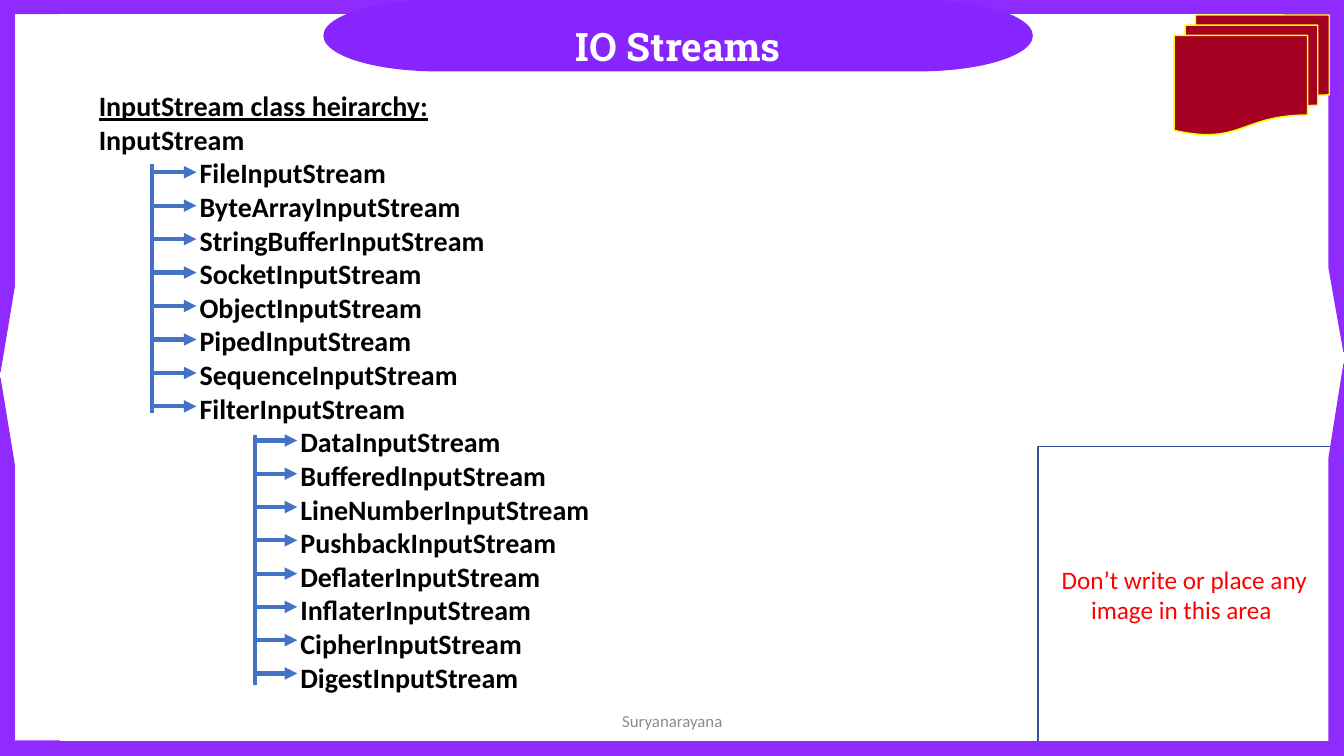
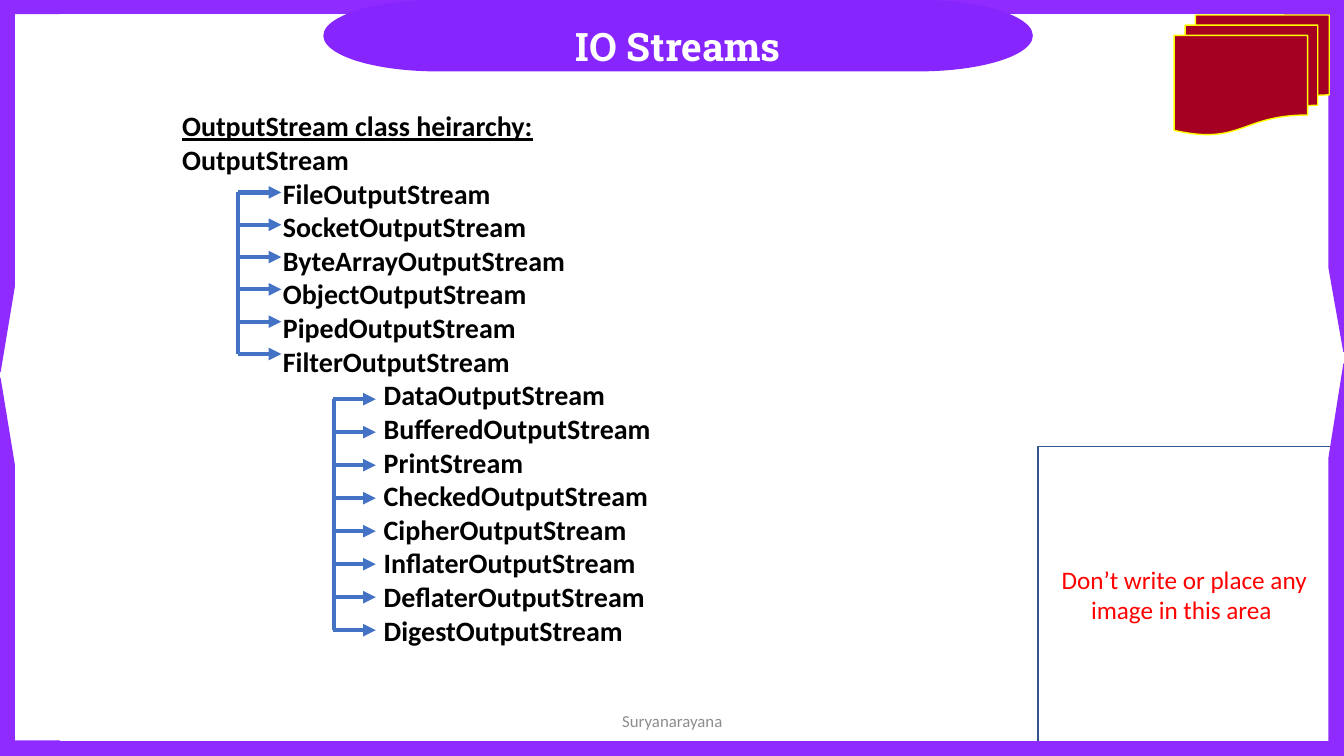
from dataclasses import dataclass

from lxml import etree
from pptx import Presentation
from pptx import util as u
from pptx.dml.color import RGBColor
from pptx.enum import shapes, text
from pptx.oxml import ns

COLORS = {
    "frame": "902BFF",
    "title_band": "8725FE",
    "title": "FFFFFF",
    "documents": "A50021",
    "documents_edge": "FFFF00",
    "notice_fill": "FFFFFF",
    "notice_edge": "325491",
    "notice": "FF0000",
    "body": "000000",
    "branch": "4472C4",
    "footer": "8C8C8C",
}
BODY_FONT = "Calibri"
TITLE_FONT = "Roboto Slab"
WIDTH, HEIGHT = 33.87, 19.05
BAND = 0.36
CORNER = 1.57
INDENT = 2.54
ARROW = 1.09
SHAPE = shapes.MSO_SHAPE


@dataclass
class Branch:
    names: list
    trunk_x: float
    trunk_top: float
    trunk_bottom: float
    arrow_x: float
    first_arrow: float
    last_arrow: float


@dataclass
class Hierarchy:
    root: str
    box: tuple
    children: Branch
    filters: Branch


INPUT = Hierarchy(
    "InputStream",
    (2.24, 2.11, 23.5, 15.65),
    Branch(
        ["FileInputStream", "ByteArrayInputStream", "StringBufferInputStream",
         "SocketInputStream", "ObjectInputStream", "PipedInputStream",
         "SequenceInputStream", "FilterInputStream"],
        3.84, 4.14, 10.41, 3.86, 4.34, 10.24,
    ),
    Branch(
        ["DataInputStream", "BufferedInputStream", "LineNumberInputStream",
         "PushbackInputStream", "DeflaterInputStream", "InflaterInputStream",
         "CipherInputStream", "DigestInputStream"],
        6.43, 10.95, 17.25, 6.4, 11.1, 16.97,
    ),
)
OUTPUT = Hierarchy(
    "OutputStream",
    (4.34, 2.62, 20.9, 13.94),
    Branch(
        ["FileOutputStream", "SocketOutputStream", "ByteArrayOutputStream",
         "ObjectOutputStream", "PipedOutputStream", "FilterOutputStream"],
        6.0, 4.85, 8.92, 6.0, 4.85, 8.92,
    ),
    Branch(
        ["DataOutputStream", "BufferedOutputStream", "PrintStream",
         "CheckedOutputStream", "CipherOutputStream", "InflaterOutputStream",
         "DeflaterOutputStream", "DigestOutputStream"],
        8.42, 10.06, 15.88, 8.38, 10.06, 15.88,
    ),
)


def color(name):
    return RGBColor.from_string(COLORS[name])


def lengths(values):
    return [u.Cm(value) for value in values]


def add_panel(slide, preset, box, fill, edge=None):
    panel = slide.shapes.add_shape(preset, *lengths(box))
    panel.shadow.inherit = False
    panel.fill.solid()
    panel.fill.fore_color.rgb = color(fill)
    if edge:
        panel.line.color.rgb = color(edge)
        panel.line.width = u.Pt(1)
    else:
        panel.line.fill.background()
    return panel


def add_corner(slide, box, adjustments, flip=False, rotation=0):
    corner = add_panel(slide, SHAPE.HALF_FRAME, box, "frame", "frame")
    for index, value in enumerate(adjustments):
        corner.adjustments[index] = value
    corner.rotation = rotation
    if flip:
        corner.element.spPr.xfrm.set("flipH", "1")


def add_run(paragraph, words, size, ink, font=BODY_FONT, bold=False, underline=False):
    run = paragraph.add_run()
    run.text = words
    run.font.name = font
    run.font.size = u.Pt(size)
    run.font.bold = bold
    run.font.underline = underline
    run.font.color.rgb = color(ink)


def add_text_frame(slide, box):
    frame = slide.shapes.add_textbox(*lengths(box)).text_frame
    frame.word_wrap = True
    return frame


def add_centred(frame, words, size, ink, **style):
    paragraph = frame.paragraphs[0]
    paragraph.alignment = text.PP_ALIGN.CENTER
    add_run(paragraph, words, size, ink, **style)


def add_branch_line(slide, start, end, arrow=False):
    line = slide.shapes.add_connector(
        shapes.MSO_CONNECTOR.STRAIGHT, *lengths(start + end))
    line.line.color.rgb = color("branch")
    line.line.width = u.Pt(3)
    if arrow:
        outline = line.line._get_or_add_ln()
        etree.SubElement(outline, ns.qn("a:tailEnd"), type="triangle")
    etree.SubElement(line.element.spPr, ns.qn("a:effectLst"))


def add_branch(slide, branch):
    add_branch_line(slide, (branch.trunk_x, branch.trunk_top),
                    (branch.trunk_x, branch.trunk_bottom))
    step = (branch.last_arrow - branch.first_arrow) / (len(branch.names) - 1)
    for index in range(len(branch.names)):
        y = branch.first_arrow + index * step
        add_branch_line(slide, (branch.arrow_x, y), (branch.arrow_x + ARROW, y), True)


def add_class_list(slide, hierarchy):
    frame = add_text_frame(slide, hierarchy.box)
    add_run(frame.paragraphs[0], f"{hierarchy.root} class heirarchy:", 20, "body",
            bold=True, underline=True)
    levels = [[hierarchy.root], hierarchy.children.names, hierarchy.filters.names]
    for depth, names in enumerate(levels):
        for name in names:
            paragraph = frame.add_paragraph()
            properties = paragraph._p.get_or_add_pPr()
            properties.set("marL", str(u.Cm(depth * INDENT)))
            add_run(paragraph, name, 20, "body", bold=True)


def add_frame(slide):
    right = WIDTH - CORNER
    add_corner(slide, (0, 0, CORNER, 9.37), (0.218, 0.228))
    add_corner(slide, (right, 0, CORNER, 8.86), (0.228, 0.239), flip=True)
    add_corner(slide, (0, 9.53, CORNER, 9.52), (0.239, 0.228), flip=True, rotation=180)
    add_panel(slide, SHAPE.RECTANGLE, (0, -0.03, WIDTH, BAND), "frame", "frame")
    add_panel(slide, SHAPE.FLOWCHART_TERMINATOR, (8.15, 0, 17.88, 1.8), "title_band")
    add_centred(add_text_frame(slide, (8.43, 0.43, 17.32, 1.45)), "IO Streams", 28,
                "title", font=TITLE_FONT, bold=True)
    add_panel(slide, SHAPE.FLOWCHART_MULTIDOCUMENT, (29.59, 0.38, 3.91, 3.02),
              "documents", "documents_edge")
    notice = add_panel(slide, SHAPE.RECTANGLE, (26.16, 11.25, 7.37, 7.44),
                       "notice_fill", "notice_edge").text_frame
    notice.vertical_anchor = text.MSO_ANCHOR.MIDDLE
    add_centred(notice, "Don’t write or place any image in this area ", 18, "notice")
    add_corner(slide, (right, 9.17, CORNER, 9.88), (0.228, 0.239), rotation=180)
    add_panel(slide, SHAPE.RECTANGLE, (0, HEIGHT - BAND, WIDTH, BAND), "frame", "frame")


def add_footer(slide):
    footer = add_text_frame(slide, (11.23, 17.65, 11.43, 1.02))
    footer.vertical_anchor = text.MSO_ANCHOR.MIDDLE
    add_centred(footer, "Suryanarayana", 12, "footer")


def add_hierarchy_slide(deck, hierarchy):
    slide = deck.slides.add_slide(deck.slide_layouts[6])
    add_frame(slide)
    add_class_list(slide, hierarchy)
    add_branch(slide, hierarchy.filters)
    add_branch(slide, hierarchy.children)
    add_footer(slide)


def main():
    deck = Presentation()
    deck.slide_width, deck.slide_height = lengths((WIDTH, HEIGHT))
    for hierarchy in (INPUT, OUTPUT):
        add_hierarchy_slide(deck, hierarchy)
    deck.save("out.pptx")


if __name__ == "__main__":
    main()
